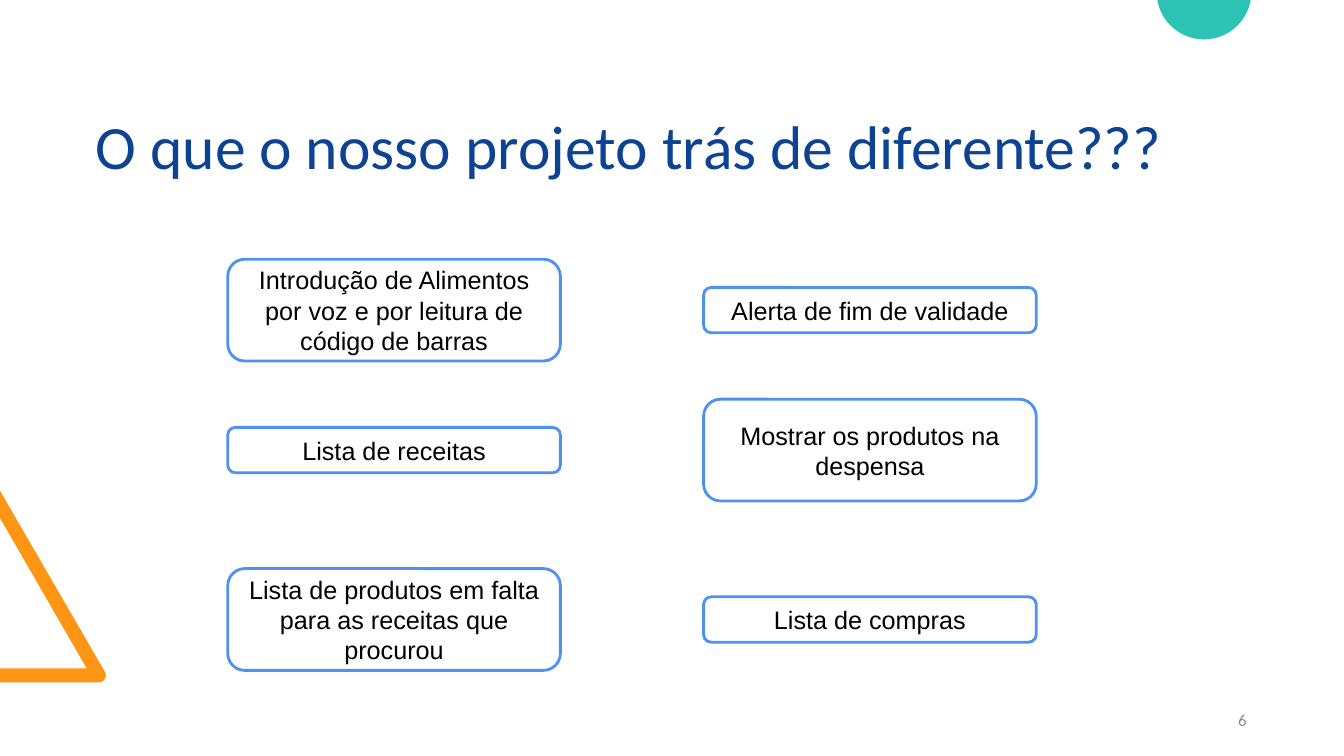
import math
from dataclasses import dataclass

import pptx
import pptx.dml.color
import pptx.enum.shapes
import pptx.enum.text
import pptx.shapes.autoshape
import pptx.slide
import pptx.util

Pt = pptx.util.Pt
Align = pptx.enum.text.PP_ALIGN
Point = tuple[float, float]


@dataclass(frozen=True)
class Theme:
    title_color: str = "0C4493"
    number_color: str = "888888"
    body_color: str = "000000"
    card_fill: str = "FFFFFF"
    card_line: str = "4E91F0"
    circle: str = "2CC3B4"
    triangle: str = "FF9514"
    title_size: float = 44
    body_size: float = 18
    number_size: float = 12
    heading_font: str = "Calibri"
    body_font: str = "Arial"


@dataclass(frozen=True)
class Box:
    left: float
    top: float
    width: float
    height: float


@dataclass(frozen=True)
class Label:
    text: str
    font: str
    size: float
    color: str
    alignment: Align
    wrap: bool = True
    line_spacing: float = 1.0


@dataclass(frozen=True)
class Feature:
    text: str
    column: int
    row: int
    height: float


THEME = Theme()
COLUMN_LEFTS = (162.7, 502.6)
ROW_CENTERS = (221.5, 321.5, 442.5)
CARD_WIDTH = 237.6
TALL = 72.7
SHORT = 32.4
INSET = 3.6

FEATURES = (
    Feature("Introdução de Alimentos por voz e por leitura de código de barras", 0, 0, TALL),
    Feature("Lista de receitas", 0, 1, SHORT),
    Feature("Lista de produtos em falta para as receitas que procurou", 0, 2, TALL),
    Feature("Alerta de fim de validade", 1, 0, SHORT),
    Feature("Mostrar os produtos na despensa", 1, 1, TALL),
    Feature("Lista de compras", 1, 2, SHORT),
)


def rgb(color: str) -> pptx.dml.color.RGBColor:
    return pptx.dml.color.RGBColor.from_string(color)


def arc(center: Point, radius: float, start: float, end: float, steps: int) -> list[Point]:
    angles = (math.radians(start + (end - start) * step / steps) for step in range(steps + 1))
    return [
        (center[0] + radius * math.cos(angle), center[1] + radius * math.sin(angle))
        for angle in angles
    ]


def add_outline(slide: pptx.slide.Slide, points: list[Point], color: str) -> None:
    corners = [(Pt(x), Pt(y)) for x, y in points]
    builder = slide.shapes.build_freeform(*corners[0])
    builder.add_line_segments(corners[1:], close=True)
    shape = builder.convert_to_shape()
    shape.shadow.inherit = False
    shape.fill.solid()
    shape.fill.fore_color.rgb = rgb(color)
    shape.line.fill.background()


def write_label(shape: pptx.shapes.autoshape.Shape, label: Label) -> None:
    frame = shape.text_frame
    frame.word_wrap = label.wrap
    frame.vertical_anchor = pptx.enum.text.MSO_ANCHOR.MIDDLE
    frame.margin_left = frame.margin_right = Pt(INSET)
    frame.margin_top = frame.margin_bottom = Pt(INSET)
    paragraph = frame.paragraphs[0]
    paragraph.text = label.text
    paragraph.alignment = label.alignment
    paragraph.line_spacing = label.line_spacing
    paragraph.font.name = label.font
    paragraph.font.size = Pt(label.size)
    paragraph.font.color.rgb = rgb(label.color)


def add_text(slide: pptx.slide.Slide, box: Box, label: Label) -> None:
    shape = slide.shapes.add_textbox(
        Pt(box.left), Pt(box.top), Pt(box.width), Pt(box.height)
    )
    write_label(shape, label)


def add_feature(slide: pptx.slide.Slide, feature: Feature) -> None:
    shape = slide.shapes.add_shape(
        pptx.enum.shapes.MSO_SHAPE.ROUNDED_RECTANGLE,
        Pt(COLUMN_LEFTS[feature.column]),
        Pt(ROW_CENTERS[feature.row] - feature.height / 2),
        Pt(CARD_WIDTH),
        Pt(feature.height),
    )
    shape.shadow.inherit = False
    shape.fill.solid()
    shape.fill.fore_color.rgb = rgb(THEME.card_fill)
    shape.line.color.rgb = rgb(THEME.card_line)
    shape.line.width = Pt(2)
    write_label(
        shape,
        Label(feature.text, THEME.body_font, THEME.body_size, THEME.body_color, Align.CENTER),
    )


def add_decorations(slide: pptx.slide.Slide) -> None:
    rounded_corner = arc((70.6, 482.4), 5, -30, 90, 12)
    inner_edge = [(0, 487.4), (0, 477.4), (61.9, 477.4), (0, 370.1), (0, 350.6)]
    add_outline(slide, inner_edge + rounded_corner, THEME.triangle)

    radius, rise = 33.8, 5.7
    edge_angle = math.degrees(math.asin(rise / radius))
    add_outline(
        slide, arc((860, -rise), radius, edge_angle, 180 - edge_angle, 60), THEME.circle
    )


def main() -> None:
    presentation = pptx.Presentation()
    presentation.slide_width = Pt(960)
    presentation.slide_height = Pt(540)
    slide = presentation.slides.add_slide(presentation.slide_layouts[6])

    add_decorations(slide)
    add_text(
        slide,
        Box(64.8, 54.7, 828, 104.4),
        Label(
            "O que o nosso projeto trás de diferente???",
            THEME.heading_font,
            THEME.title_size,
            THEME.title_color,
            Align.LEFT,
            line_spacing=0.9,
        ),
    )
    add_text(
        slide,
        Box(872.6, 504, 21.6, 20.9),
        Label(
            "6",
            THEME.heading_font,
            THEME.number_size,
            THEME.number_color,
            Align.RIGHT,
            wrap=False,
        ),
    )
    for feature in FEATURES:
        add_feature(slide, feature)

    presentation.save("out.pptx")


if __name__ == "__main__":
    main()
